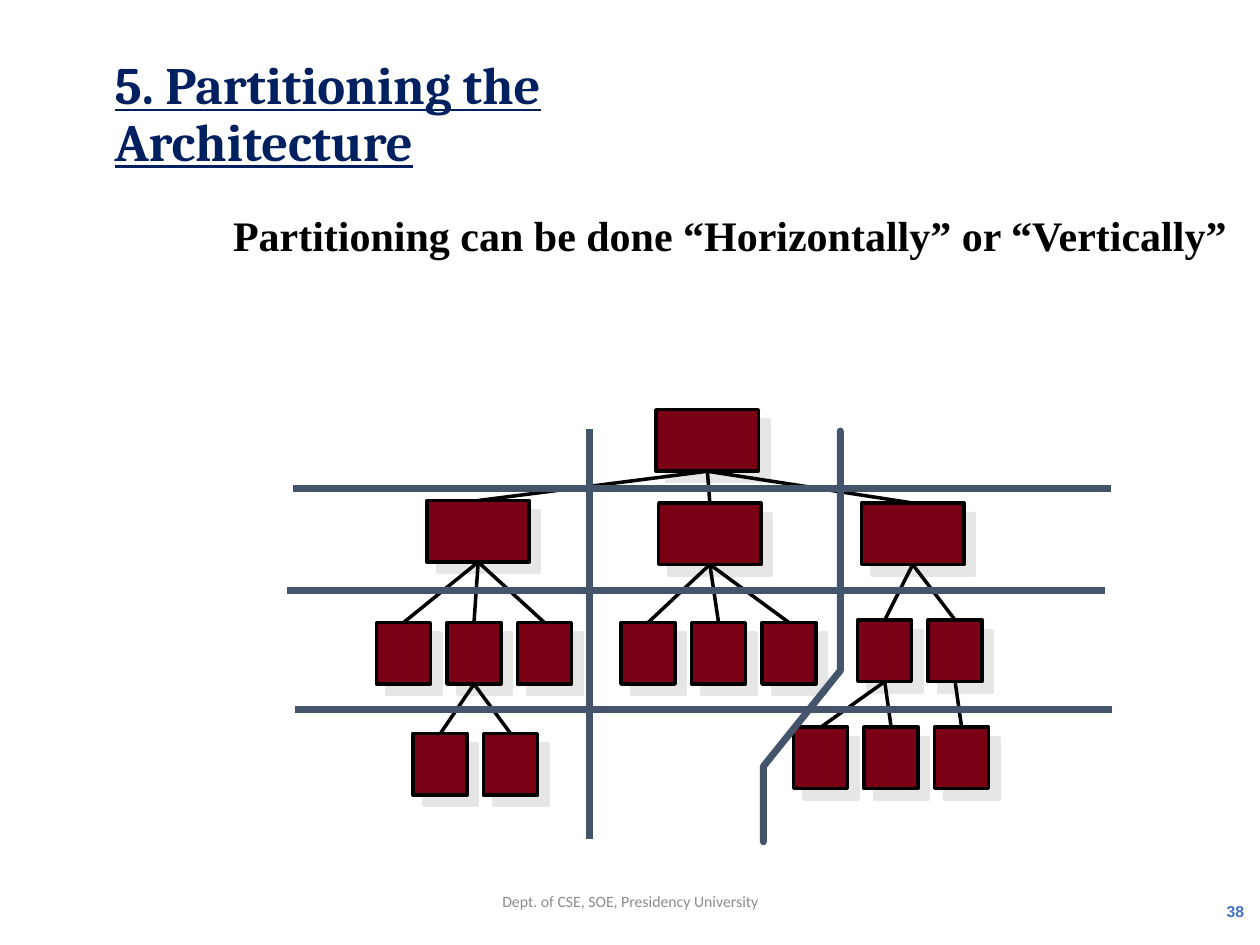
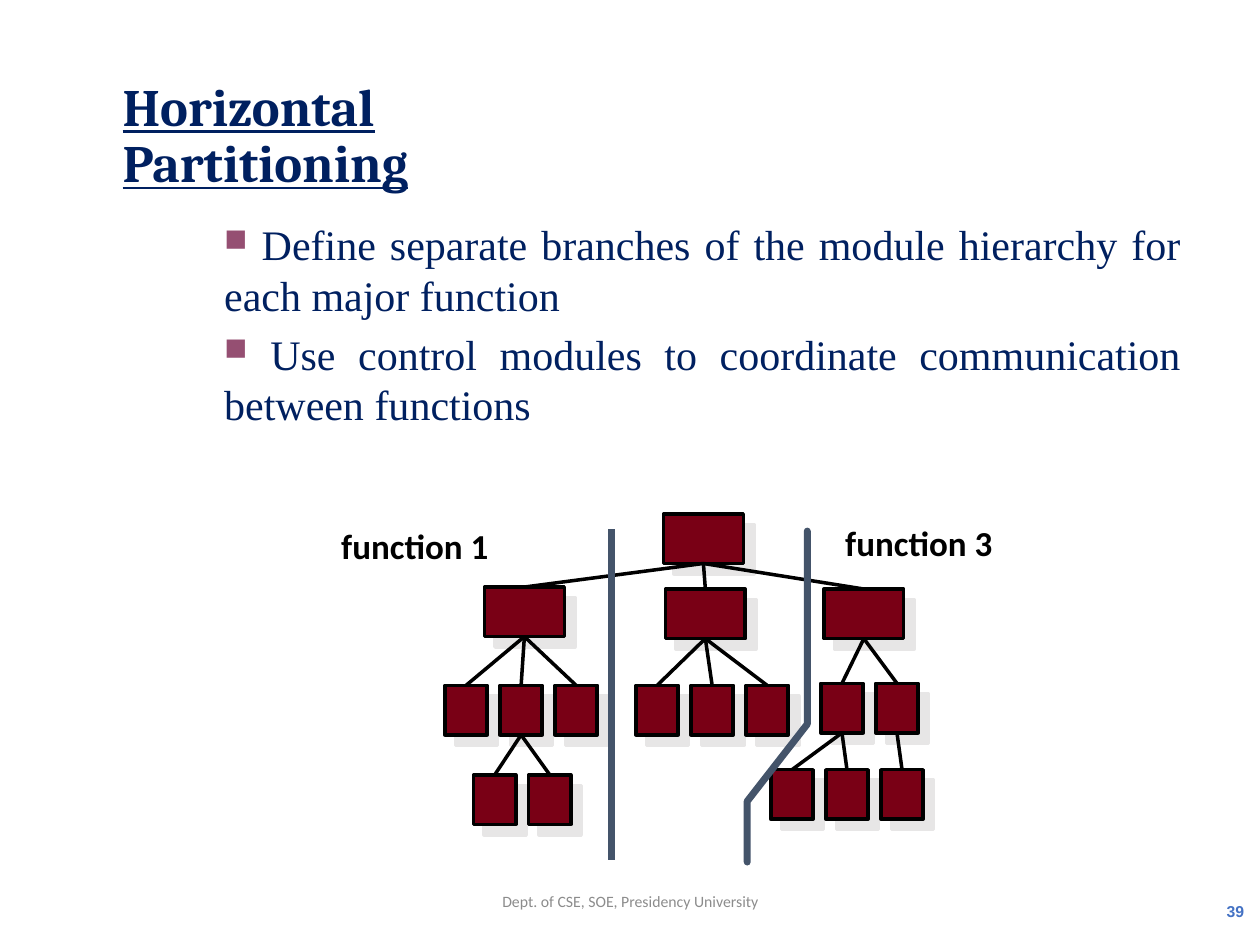
from lxml.etree import SubElement as Sub
from pptx import Presentation
from pptx.dml.color import RGBColor
from pptx.enum.shapes import MSO_CONNECTOR as Conn, MSO_SHAPE as Shape
from pptx.enum.text import MSO_ANCHOR as Anchor, MSO_AUTO_SIZE as Auto, PP_ALIGN as Align
from pptx.oxml.ns import qn
from pptx.util import Cm, Pt

NAVY = RGBColor(0x00, 0x20, 0x60)
BLACK = RGBColor(0x00, 0x00, 0x00)
GRAY = RGBColor(0x8C, 0x8C, 0x8C)
BLUE = RGBColor(0x44, 0x72, 0xC4)
WINE = RGBColor(0x79, 0x00, 0x15)
SLATE = RGBColor(0x44, 0x54, 0x6A)
SHADE = RGBColor(0xE7, 0xE6, 0xE6)
PLUM = RGBColor(0x95, 0x4F, 0x72)

SERIF = "Times New Roman"
FOOT = "Dept. of CSE, SOE, Presidency University"

# Tree measures in cm at full size
FULL_W, FULL_H = 12.34, 7.77
WIDE, SLIM, TALL = 2.06, 1.09, 1.24
PITCH = 1.42


def style(para, font, size, color, bold=False, align=Align.LEFT):
    para.alignment = align
    for run in para.runs:
        face = run.font
        face.name, face.size, face.bold = font, Pt(size), bold
        face.color.rgb = color


def add_text(slide, box, lines, *look, anchor=Anchor.TOP, wrap=True, **more):
    frame = slide.shapes.add_textbox(*map(Cm, box)).text_frame
    frame.word_wrap, frame.vertical_anchor = wrap, anchor
    frame.text = "\n".join(lines)
    for para in frame.paragraphs:
        style(para, *look, **more)
    return frame


def add_title(slide, box, text):
    title = slide.shapes.title
    title.left, title.top, title.width, title.height = map(Cm, box)
    frame = title.text_frame
    frame.text = text
    frame.word_wrap, frame.auto_size = True, Auto.NONE
    frame.vertical_anchor = Anchor.MIDDLE
    frame.margin_left = frame.margin_right = Cm(0.18)
    frame.margin_top = frame.margin_bottom = Cm(0.08)
    para = frame.paragraphs[0]
    para.line_spacing = 0.9
    style(para, "Cambria", 30, NAVY, True)
    para.runs[0].font.underline = True


def add_foot(slide, number):
    add_text(slide, (8.41, 17.65, 8.59, 1.02), [FOOT], "Calibri", 9, GRAY,
             align=Align.CENTER, anchor=Anchor.MIDDLE)
    add_text(slide, (19.61, 17.86, 5.72, 1.02), [str(number)], "Arial", 9, BLUE, True,
             align=Align.RIGHT, anchor=Anchor.MIDDLE)


def add_body(slide, box, lines, color, bold=False, marks=False):
    frame = add_text(slide, box, lines, SERIF, 24, color, bold, align=Align.JUSTIFY)
    for para in frame.paragraphs:
        para.space_before = Pt(4.8)
        if marks:
            props = para._p.get_or_add_pPr()
            Sub(Sub(props, qn("a:buClr")), qn("a:srgbClr"), val=str(PLUM))
            Sub(props, qn("a:buSzPct"), val="75000")
            Sub(props, qn("a:buChar"), char="■")


def scaler(box):
    """Turn full-size tree measures into places inside the box."""
    left, top, width, height = box

    def spot(x, y):
        return Cm(left + x * width / FULL_W), Cm(top + y * height / FULL_H)
    return spot


def add_line(slide, start, end, color, weight):
    line = slide.shapes.add_connector(Conn.STRAIGHT, *start, *end)
    line.line.color.rgb, line.line.width = color, Pt(weight)
    Sub(line.element.spPr, qn("a:effectLst"))
    return line


def add_node(slide, spot, x, y, wide):
    left, top = spot(x, y)
    right, low = spot(x + wide, y + TALL)
    node = slide.shapes.add_shape(Shape.RECTANGLE, left, top, right - left, low - top)
    node.fill.solid()
    node.fill.fore_color.rgb = WINE
    node.line.color.rgb, node.line.width = BLACK, Pt(2)
    # Solid drop shadow to the lower right
    node.shadow.inherit = False
    drop = Sub(node.element.spPr.find(qn("a:effectLst")), qn("a:outerShdw"),
               dist=str(Pt(8.5)), dir="2700000", algn="ctr", rotWithShape="0")
    Sub(drop, qn("a:srgbClr"), val=str(SHADE))
    return node


def add_tree(slide, box):
    spot = scaler(box)

    def row(x, y, count):
        return [add_node(slide, spot, x + i * PITCH, y, SLIM) for i in range(count)]

    # Modules, level by level
    root = add_node(slide, spot, 5.64, 0, WIDE)
    heads = [add_node(slide, spot, x, y, WIDE)
             for x, y in ((1.02, 1.83), (5.69, 1.88), (9.78, 1.88))]
    one, two, three = row(0, 4.29, 3), row(4.93, 4.29, 3), row(9.7, 4.24, 2)
    low_one, low_three = row(0.74, 6.53, 2), row(8.41, 6.4, 3)

    # Links from each module to its children
    links = [(root, heads), *zip(heads, (one, two, three)), (one[1], low_one),
             (three[0], low_three[:2]), (three[1], low_three[2:])]
    for parent, kids in links:
        for kid in kids:
            link = add_line(slide, (0, 0), (0, 0), BLACK, 2)
            link.begin_connect(parent, 2)
            link.end_connect(kid, 0)


def cut_across(slide, box):
    spot = scaler(box)
    for x, y in ((-1.8, 3.64), (-1.65, 6.05), (-1.68, 1.59)):
        add_line(slide, spot(x, y), spot(x + 16.48, y), SLATE, 4)


def cut_down(slide, box):
    spot = scaler(box)
    add_line(slide, spot(4.29, 0.38), spot(4.29, 8.66), SLATE, 4)
    # Bent cut around the third branch
    first, *rest = [spot(x, y) for x, y in ((9.35, 0.43), (9.35, 5.26), (7.8, 7.19), (7.8, 8.71))]
    path = slide.shapes.build_freeform(*first)
    path.add_line_segments(rest, close=False)
    bend = path.convert_to_shape()
    bend.fill.background()
    bend.line.color.rgb, bend.line.width = SLATE, Pt(4)
    bend.shadow.inherit = False
    edge = bend.line._get_or_add_ln()
    edge.set("cap", "rnd")
    Sub(edge, qn("a:round"))


def overview(slide):
    add_title(slide, (2.13, 1.63, 14.63, 1.42), "5. Partitioning the Architecture")
    add_foot(slide, 38)
    add_body(slide, (4.45, 4.09, 20.62, 4.98),
             ["Partitioning can be done “Horizontally” or “Vertically”"], BLACK, True)
    box = (7.59, 8.26, FULL_W, FULL_H)
    add_tree(slide, box)
    cut_across(slide, box)
    cut_down(slide, box)


def branches(slide):
    add_title(slide, (2.29, 2.06, 11.07, 1.42), "Horizontal Partitioning")
    add_foot(slide, 39)
    add_body(slide, (4.27, 4.29, 19.79, 8.26),
             [" Define separate branches of the module hierarchy for each major function",
              " Use control modules to coordinate communication between functions"],
             NAVY, marks=True)
    box = (8.97, 10.36, 9.64, 6.26)
    add_tree(slide, box)
    cut_down(slide, box)
    for x, y, name in ((6.63, 10.44, "function 1"), (16.79, 10.39, "function 3")):
        add_text(slide, (x, y, 3.86, 1.09), [name], "Calibri", 20, BLACK, True, wrap=False)


def main():
    deck = Presentation()
    deck.slide_width, deck.slide_height = Cm(25.4), Cm(19.05)
    for build in (overview, branches):
        build(deck.slides.add_slide(deck.slide_layouts[5]))
    deck.save("out.pptx")


if __name__ == "__main__":
    main()
